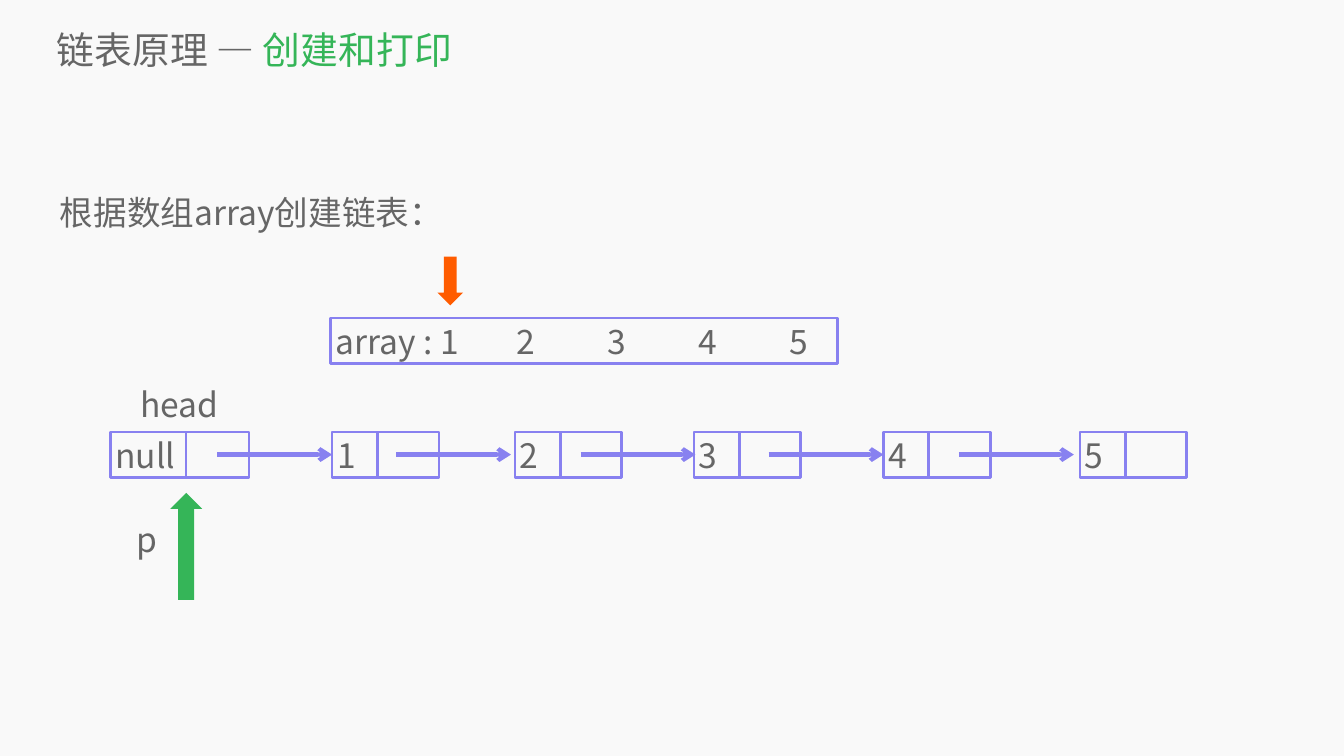
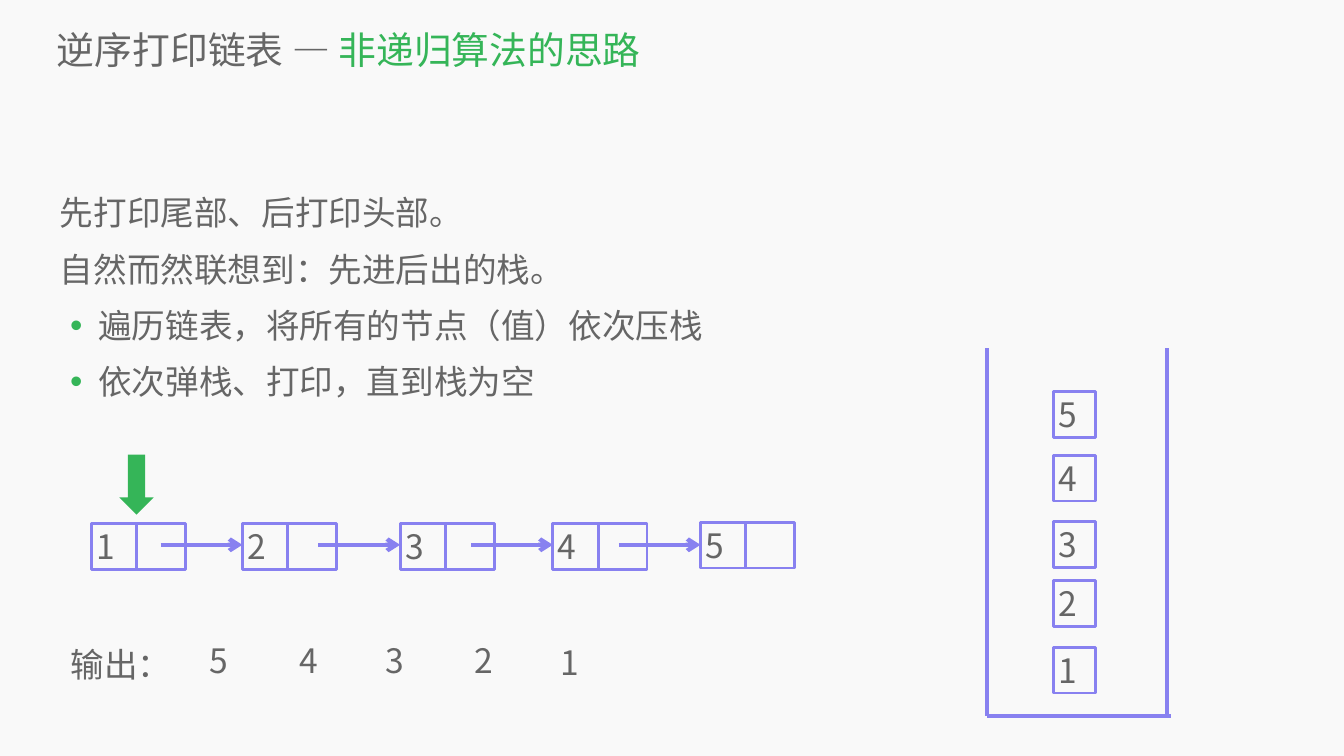
from pptx import Presentation
from pptx.dml.color import RGBColor
from pptx.enum.shapes import MSO_CONNECTOR, MSO_SHAPE
from pptx.enum.text import MSO_ANCHOR as Anchor, MSO_AUTO_SIZE as AutoSize, PP_ALIGN as Align
from pptx.oxml.ns import qn
from pptx.util import Inches, Pt
from lxml.etree import SubElement

FONT = "Noto Sans CJK SC"
BACK, GREY, GREEN, VIOLET, ORANGE = "F9F9F9", "666666", "35B558", "8881F0", "FF5C00"
ROW_H = 0.91      # height of one text row, box or node
LINE_H = 1.12     # height of one body line


def rgb(value):
    return RGBColor.from_string(value)


def write(sp, paras, size=48, inset=(0.1, 0.05), anchor=Anchor.TOP,
          spacing=None, grow=True):
    """Fill a shape with paragraphs; each is a list of (text, colour) runs."""
    tf = sp.text_frame
    tf.word_wrap = True
    tf.auto_size = AutoSize.SHAPE_TO_FIT_TEXT if grow else AutoSize.NONE
    tf.vertical_anchor = anchor
    tf.margin_left = tf.margin_right = Inches(inset[0])
    tf.margin_top = tf.margin_bottom = Inches(inset[1])
    for i, runs in enumerate(paras):
        p = tf.paragraphs[0] if i == 0 else tf.add_paragraph()
        p.alignment = Align.LEFT
        if spacing:
            p.line_spacing = spacing
        for text, colour in runs:
            r = p.add_run()
            r.text = text
            r.font.size = Pt(size)
            r.font.name = FONT
            r.font.color.rgb = rgb(colour)
            SubElement(r.font._element, qn("a:ea"), typeface=FONT)
    return tf


def text_box(s, x, y, w, h, *paras, **fmt):
    sp = s.shapes.add_textbox(Inches(x), Inches(y), Inches(w), Inches(h))
    return write(sp, [[(t, GREY)] if isinstance(t, str) else t for t in paras], **fmt)


def shape(s, kind, x, y, w, h, fill=None, line=None):
    sp = s.shapes.add_shape(kind, Inches(x), Inches(y), Inches(w), Inches(h))
    sp.shadow.inherit = False
    if fill:
        sp.fill.solid()
        sp.fill.fore_color.rgb = rgb(fill)
    else:
        sp.fill.background()
    if line:
        sp.line.color.rgb = rgb(line)
        sp.line.width = Pt(4)
    else:
        sp.line.fill.background()
    return sp


def cell(s, x, y, w, text=None):
    """An outlined box, with text if there is any."""
    sp = shape(s, MSO_SHAPE.RECTANGLE, x, y, w, ROW_H, line=VIOLET)
    return write(sp, [[(text, GREY)]]) if text else None


def line(s, x1, y1, x2, y2, arrow=False):
    c = s.shapes.add_connector(MSO_CONNECTOR.STRAIGHT,
                               Inches(x1), Inches(y1), Inches(x2), Inches(y2))
    c.line.color.rgb = rgb(VIOLET)
    c.line.width = Pt(6)
    if arrow:
        SubElement(c.line._get_or_add_ln(), qn("a:tailEnd"), type="arrow")
    SubElement(c._element.spPr, qn("a:effectLst"))


def node(s, x, y, value, value_w, next_w):
    """A list node: value cell, then the cell of the next pointer."""
    cell(s, x, y, value_w, value)
    cell(s, x + value_w, y, next_w)


def set_tabs(p, step, count):
    tabs = SubElement(p._p.get_or_add_pPr(), qn("a:tabLst"))
    for i in range(1, count + 1):
        SubElement(tabs, qn("a:tab"), pos=str(Inches(step * i)), algn="l")


def set_bullet(p, left=0.76, hang=0.56):
    pPr = p._p.get_or_add_pPr()
    pPr.set("marL", str(Inches(left)))
    pPr.set("indent", str(-Inches(hang)))
    SubElement(SubElement(pPr, qn("a:buClr")), qn("a:srgbClr"), val=GREEN)
    SubElement(pPr, qn("a:buSzPct"), val="105000")
    SubElement(pPr, qn("a:buFont"), typeface="Arial")
    SubElement(pPr, qn("a:buChar"), char="•")


def new_slide(prs, topic, part, *body):
    """Background, two-colour title and body text; gives slide and body."""
    s = prs.slides.add_slide(prs.slide_layouts[6])
    s.background.fill.solid()
    s.background.fill.fore_color.rgb = rgb(BACK)
    text_box(s, 1.13, 0.47, 25.16, 1.02, [(topic + " — ", GREY), (part, GREEN)],
             size=54, inset=(0, 0), anchor=Anchor.MIDDLE, grow=False)
    tf = text_box(s, 1.19, 3.49, 24.28, LINE_H * len(body), *body,
                  inset=(0, 0), spacing=1.4, grow=False)
    return s, tf


def array_row(s, x, y):
    """The source array, with the marker above its first value."""
    tf = cell(s, x, y, 10.06, "array : " + "\t\t".join("12345"))
    set_tabs(tf.paragraphs[0], 0.9, 10)
    shape(s, MSO_SHAPE.DOWN_ARROW, x + 2.12, y - 1.22, 0.51, 0.97, fill=ORANGE)


def headed_list(s, x, y):
    """Head node with its pointer p, and five linked nodes."""
    node(s, x, y, "null", 1.5, 1.25)
    text_box(s, x + 0.5, y - 1.01, 2, ROW_H, "head")
    text_box(s, x + 0.43, y + 1.68, 0.75, ROW_H, "p")
    shape(s, MSO_SHAPE.UP_ARROW, x + 1.19, y + 1.21, 0.63, 2.12, fill=GREEN)
    for value, dx in zip("12345", (4.4, 8.03, 11.58, 15.34, 19.24)):
        node(s, x + dx, y, value, 0.9, 1.22)
    for dx in (2.12, 5.67, 9.33, 13.06, 16.84):
        line(s, x + dx, y + 0.45, x + dx + 2.28, y + 0.45, arrow=True)


def plain_list(s, x, y):
    """Five linked nodes, with the marker above the first."""
    starts = (0, 3, 6.13, 9.16, 12.09)
    for value, dx in zip("12345", starts):
        node(s, x + dx, y - (0.03 if value == "5" else 0), value, 0.9, 0.97)
    for dx in starts[1:]:
        line(s, x + dx - 1.62, y + 0.42, x + dx, y + 0.42, arrow=True)
    shape(s, MSO_SHAPE.DOWN_ARROW, x + 0.56, y - 1.37, 0.68, 1.19, fill=GREEN)


def output_row(s, x, y):
    """Label and the printed values."""
    text_box(s, x, y, 2.5, LINE_H, "输出：", inset=(0, 0), spacing=1.4, grow=False)
    for value, dx in zip("54321", (2.66, 4.44, 6.15, 7.92, 9.63)):
        text_box(s, x + dx, y + (0.23 if value == "1" else 0.2), 0.84, ROW_H, value)


def stack(s, x, y, w, h):
    """A vessel open at the top, with the pushed values."""
    for side in (x, x + w):
        line(s, side, y, side, y + h)
    line(s, x, y + h, x + w + 0.07, y + h)
    for value, dy in zip("12345", (5.93, 4.61, 3.44, 2.12, 0.86)):
        cell(s, x + 1.32, y + dy, 0.84, value)


prs = Presentation()
prs.slide_width, prs.slide_height = Inches(26.67), Inches(15)

# Slide 1: building the list
s, _ = new_slide(prs, "链表原理", "创建和打印", "根据数组array创建链表：")
array_row(s, 6.56, 6.31)
headed_list(s, 2.19, 8.57)

# Slide 2: printing in reverse with a stack
s, tf = new_slide(prs, "逆序打印链表", "非递归算法的思路",
                  "先打印尾部、后打印头部。",
                  "自然而然联想到：先进后出的栈。",
                  "遍历链表，将所有的节点（值）依次压栈",
                  "依次弹栈、打印，直到栈为空")
for p in tf.paragraphs[2:]:
    set_bullet(p)
plain_list(s, 1.81, 10.39)
output_row(s, 1.4, 3.49 + 8 * LINE_H)
stack(s, 19.58, 6.91, 3.58, 7.29)

prs.save("out.pptx")
